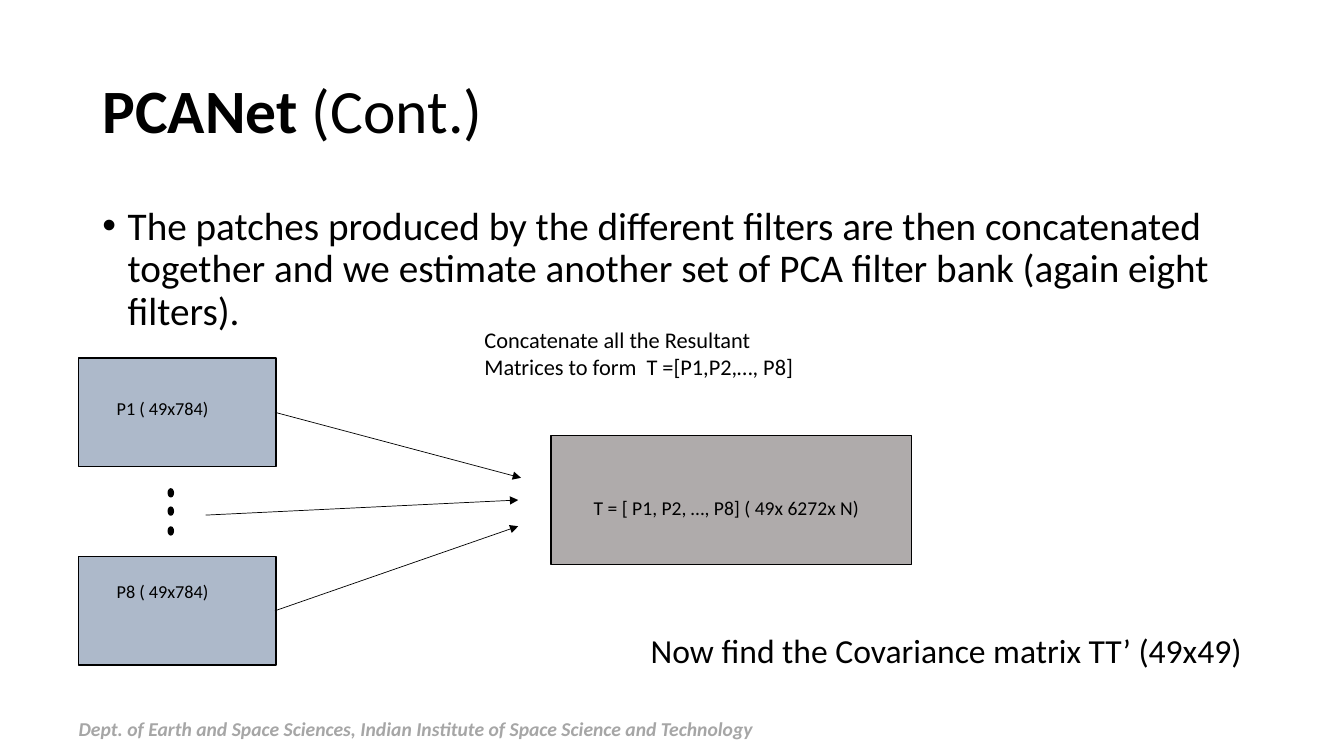
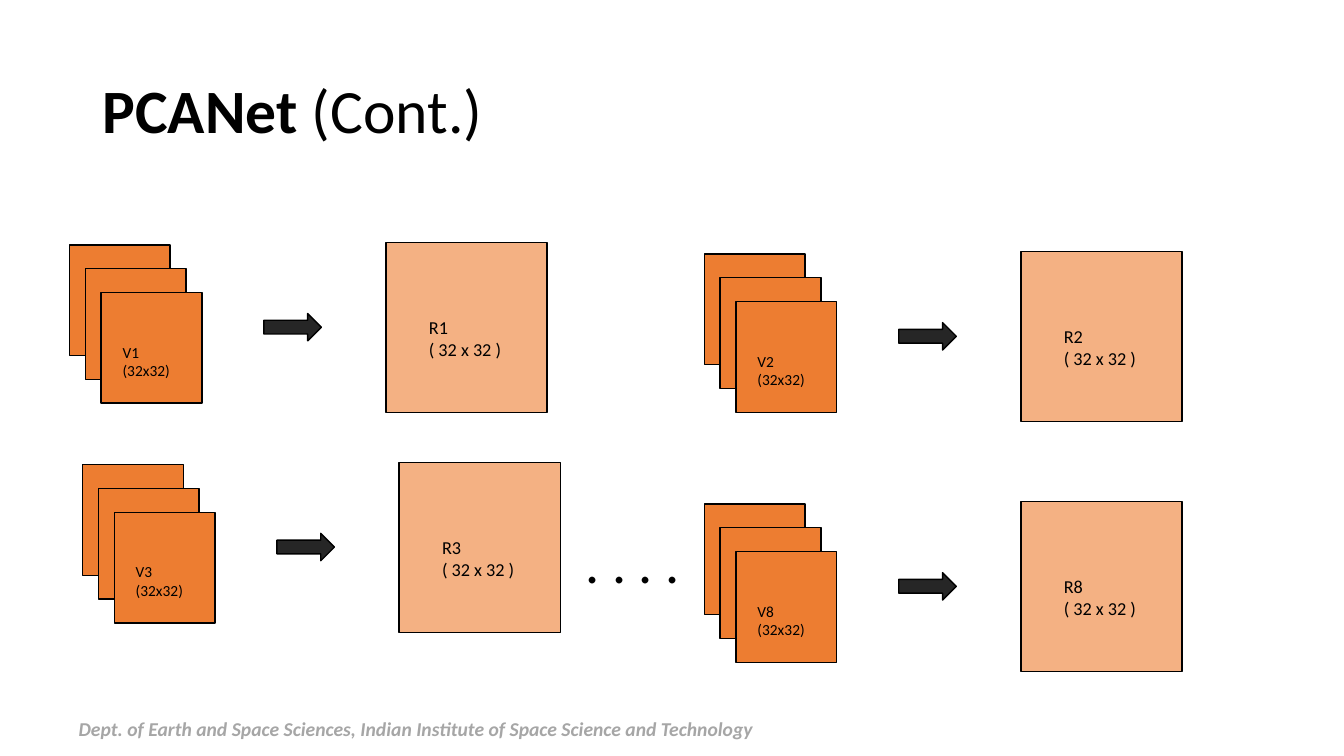
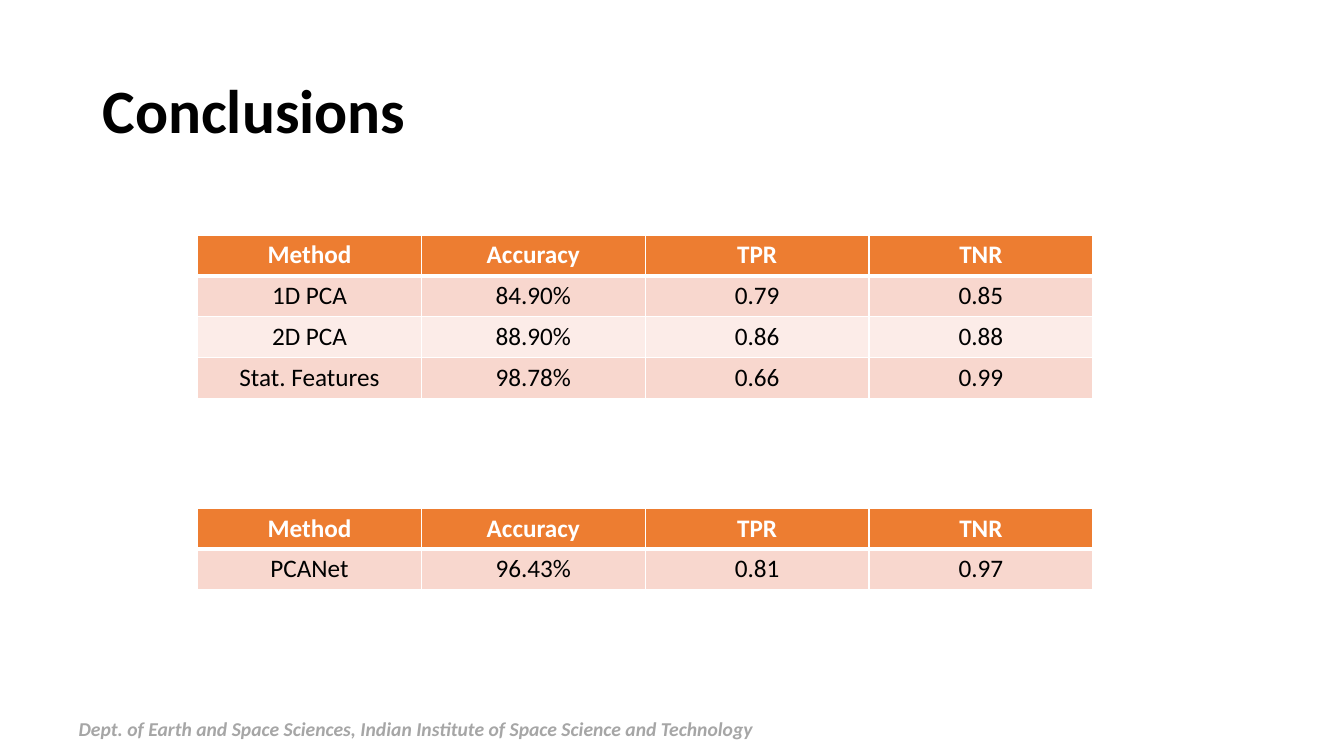
from dataclasses import dataclass

from lxml.etree import SubElement
from pptx import Presentation
from pptx.dml.color import RGBColor
from pptx.enum.shapes import MSO_CONNECTOR, MSO_SHAPE
from pptx.enum.text import MSO_ANCHOR, MSO_AUTO_SIZE, PP_ALIGN
from pptx.oxml.ns import qn
from pptx.util import Cm, Pt


@dataclass(frozen=True)
class Theme:
    font: str = "Calibri"
    black: str = "000000"
    white: str = "FFFFFF"
    footer: str = "A6A6A6"
    patch: str = "ADB9CA"
    matrix: str = "AFABAB"
    orange: str = "ED7D31"
    peach: str = "F4B183"
    arrow: str = "262626"
    bands: tuple = ("F8D7CE", "FCECE8")
    title_size: int = 44
    dots_size: int = 40
    body_size: int = 28
    result_size: int = 24
    table_size: int = 18
    note_size: int = 16
    footer_size: int = 14
    label_size: int = 13
    small_size: int = 11


THEME = Theme()
FOOTER = ("Dept. of Earth and Space Sciences, "
          "Indian Institute of Space Science and Technology")
HEADER = ("Method", "Accuracy", "TPR", "TNR")


def rgb(colour):
    return RGBColor.from_string(colour)


def apply(target, values):
    for name, value in values.items():
        setattr(target, name, value)


def cm_box(box):
    return [Cm(length) for length in box]


def add_run(paragraph, text, size, colour=THEME.black, bold=False, italic=False):
    run = paragraph.add_run()
    run.text = text
    apply(run.font, {"name": THEME.font, "size": Pt(size),
                     "bold": bold, "italic": italic})
    run.font.color.rgb = rgb(colour)


def add_text(slide, box, lines, size, frame_format=None, **font_format):
    """Add a text box with one paragraph for each line, and return its frame."""
    frame = slide.shapes.add_textbox(*cm_box(box)).text_frame
    apply(frame, {"word_wrap": True, **(frame_format or {})})
    for index, line in enumerate(lines):
        paragraph = frame.add_paragraph() if index else frame.paragraphs[0]
        add_run(paragraph, line, size, **font_format)
    return frame


def add_figure(slide, preset, box, fill):
    """Add a filled preset shape with a thin black outline."""
    figure = slide.shapes.add_shape(preset, *cm_box(box))
    figure.shadow.inherit = False
    figure.fill.solid()
    figure.fill.fore_color.rgb = rgb(fill)
    figure.line.color.rgb = rgb(THEME.black)
    figure.line.width = Pt(1)


def add_arrow(slide, start, end):
    arrow = slide.shapes.add_connector(MSO_CONNECTOR.STRAIGHT,
                                       *cm_box(start + end))
    arrow.line.color.rgb = rgb(THEME.black)
    arrow.line.width = Pt(0.5)
    properties = arrow.element.spPr
    SubElement(properties.find(qn("a:ln")), qn("a:tailEnd"), type="triangle")
    SubElement(properties, qn("a:effectLst"))


def add_bullet(slide, box, text):
    paragraph = add_text(slide, box, [text], THEME.body_size).paragraphs[0]
    apply(paragraph, {"line_spacing": 0.9, "space_before": Pt(10)})
    indent = Cm(0.64)
    properties = paragraph._p.get_or_add_pPr()
    properties.set("marL", str(indent))
    properties.set("indent", str(-indent))
    SubElement(properties, qn("a:buFont"), typeface="Arial")
    SubElement(properties, qn("a:buChar"), char="•")


def add_slide(deck, bold_title, plain_title=""):
    """Add a slide with the shared title style and footer."""
    slide = deck.slides.add_slide(deck.slide_layouts[5])
    title = slide.shapes.title
    apply(title, dict(zip(("left", "top", "width", "height"),
                          cm_box((2.33, 1.02, 29.21, 3.68)))))
    apply(title.text_frame, {"vertical_anchor": MSO_ANCHOR.MIDDLE,
                             "auto_size": MSO_AUTO_SIZE.NONE, "word_wrap": True})
    heading = title.text_frame.paragraphs[0]
    apply(heading, {"alignment": PP_ALIGN.LEFT, "line_spacing": 0.9})
    add_run(heading, bold_title, THEME.title_size, bold=True)
    if plain_title:
        add_run(heading, plain_title, THEME.title_size)

    margins = dict.fromkeys(("margin_left", "margin_top",
                             "margin_right", "margin_bottom"), 0)
    add_text(slide, (1.98, 17.65, 20.32, 1.02), [FOOTER], THEME.footer_size,
             {"vertical_anchor": MSO_ANCHOR.BOTTOM, **margins},
             colour=THEME.footer, bold=True, italic=True)
    return slide


def set_borders(cell, widths):
    """Draw white borders; widths holds left, right, top and bottom in points."""
    properties = cell._tc.get_or_add_tcPr()
    for index, (side, width) in enumerate(zip("LRTB", widths)):
        border = SubElement(properties, qn(f"a:ln{side}"), w=str(Pt(width)))
        fill = SubElement(border, qn("a:solidFill"))
        SubElement(fill, qn("a:srgbClr"), val=THEME.white)
        properties.insert(index, border)


def add_results(slide, top, methods):
    rows = [HEADER, *methods]
    column_width, row_height = 5.64, 1.03
    box = (4.98, top, column_width * len(HEADER), row_height * len(rows))
    table = slide.shapes.add_table(len(rows), len(HEADER), *cm_box(box)).table
    for row, values in enumerate(rows):
        is_header = row == 0
        fill = THEME.orange if is_header else THEME.bands[(row - 1) % 2]
        colour = THEME.white if is_header else THEME.black
        for column, value in enumerate(values):
            cell = table.cell(row, column)
            cell.fill.solid()
            cell.fill.fore_color.rgb = rgb(fill)
            set_borders(cell, (1, 1, 3 if row == 1 else 1, 3 if is_header else 1))
            paragraph = cell.text_frame.paragraphs[0]
            paragraph.alignment = PP_ALIGN.CENTER
            add_run(paragraph, value, THEME.table_size, colour, bold=is_header)


def add_reduction(slide, left, top, number):
    """Add a stack of V patches, an arrow and the R patch it leads to."""
    for layer in range(3):
        add_figure(slide, MSO_SHAPE.RECTANGLE,
                   (left + 0.4 * layer, top + 0.6 * layer, 2.54, 2.79),
                   THEME.orange)
    add_text(slide, (left + 1.09, top + 2.34, 2, 1.19),
             [f"V{number}", "(32x32)"], THEME.small_size)
    add_figure(slide, MSO_SHAPE.RIGHT_ARROW,
               (left + 4.9, top + 1.73, 1.45, 0.69), THEME.arrow)
    add_figure(slide, MSO_SHAPE.RECTANGLE,
               (left + 7.98, top - 0.06, 4.06, 4.29), THEME.peach)
    add_text(slide, (left + 8.81, top + 1.68, 2.54, 1.37),
             [f"R{number}", "( 32 x 32 )"], THEME.label_size)


def build_concatenation(deck):
    slide = add_slide(deck, "PCANet ", "(Cont.)")
    add_bullet(slide, (2.33, 5.08, 29.21, 12.09),
               "The patches produced by the different filters are then "
               "concatenated together and we estimate another set of PCA "
               "filter bank (again eight filters).")
    for name, top, label_top in (("P1", 9.02, 9.88), ("P8", 14.02, 14.5)):
        add_figure(slide, MSO_SHAPE.RECTANGLE, (1.98, top, 4.98, 2.74), THEME.patch)
        add_text(slide, (2.69, label_top, 3.63, 0.81),
                 [f"{name} ( 49x784)"], THEME.label_size)
    for dot_top in (12.32, 12.78, 13.28):
        add_figure(slide, MSO_SHAPE.OVAL, (4.24, dot_top, 0.13, 0.2), THEME.black)

    add_text(slide, (11.96, 8.1, 9.22, 1.63),
             ["Concatenate all the Resultant Matrices to form  T =[P1,P2,…, P8]"],
             THEME.note_size)
    add_figure(slide, MSO_SHAPE.RECTANGLE, (13.89, 10.97, 9.09, 3.25), THEME.matrix)
    add_text(slide, (14.71, 12.37, 7.44, 0.86),
             ["T = [ P1, P2, …, P8] ( 49x 6272x N)"], THEME.footer_size)
    for start, end in (((6.93, 10.39), (13.13, 12.04)),
                       ((5.18, 12.98), (13.06, 12.6)),
                       ((6.93, 15.39), (13.06, 13.26))):
        add_arrow(slide, start, end)
    add_text(slide, (16.15, 15.75, 15.72, 1.27),
             ["Now find the Covariance matrix TT’ (49x49)"], THEME.result_size)


def build_reductions(deck):
    slide = add_slide(deck, "PCANet ", "(Cont.)")
    for left, top, number in ((1.75, 6.17, 1), (17.75, 6.4, 2),
                              (2.08, 11.71, 3), (17.75, 12.7, 8)):
        add_reduction(slide, left, top, number)
    add_text(slide, (14.5, 13.16, 3, 1.96), [". . . ."], THEME.dots_size,
             {"word_wrap": False})


def build_conclusions(deck):
    slide = add_slide(deck, "Conclusions")
    add_results(slide, 5.92, [("1D PCA", "84.90%", "0.79", "0.85"),
                              ("2D PCA", "88.90%", "0.86", "0.88"),
                              ("Stat. Features", "98.78%", "0.66", "0.99")])
    add_results(slide, 12.8, [("PCANet", "96.43%", "0.81", "0.97")])


def main():
    deck = Presentation()
    apply(deck, {"slide_width": Cm(33.87), "slide_height": Cm(19.05)})
    build_concatenation(deck)
    build_reductions(deck)
    build_conclusions(deck)
    deck.save("out.pptx")


if __name__ == "__main__":
    main()
